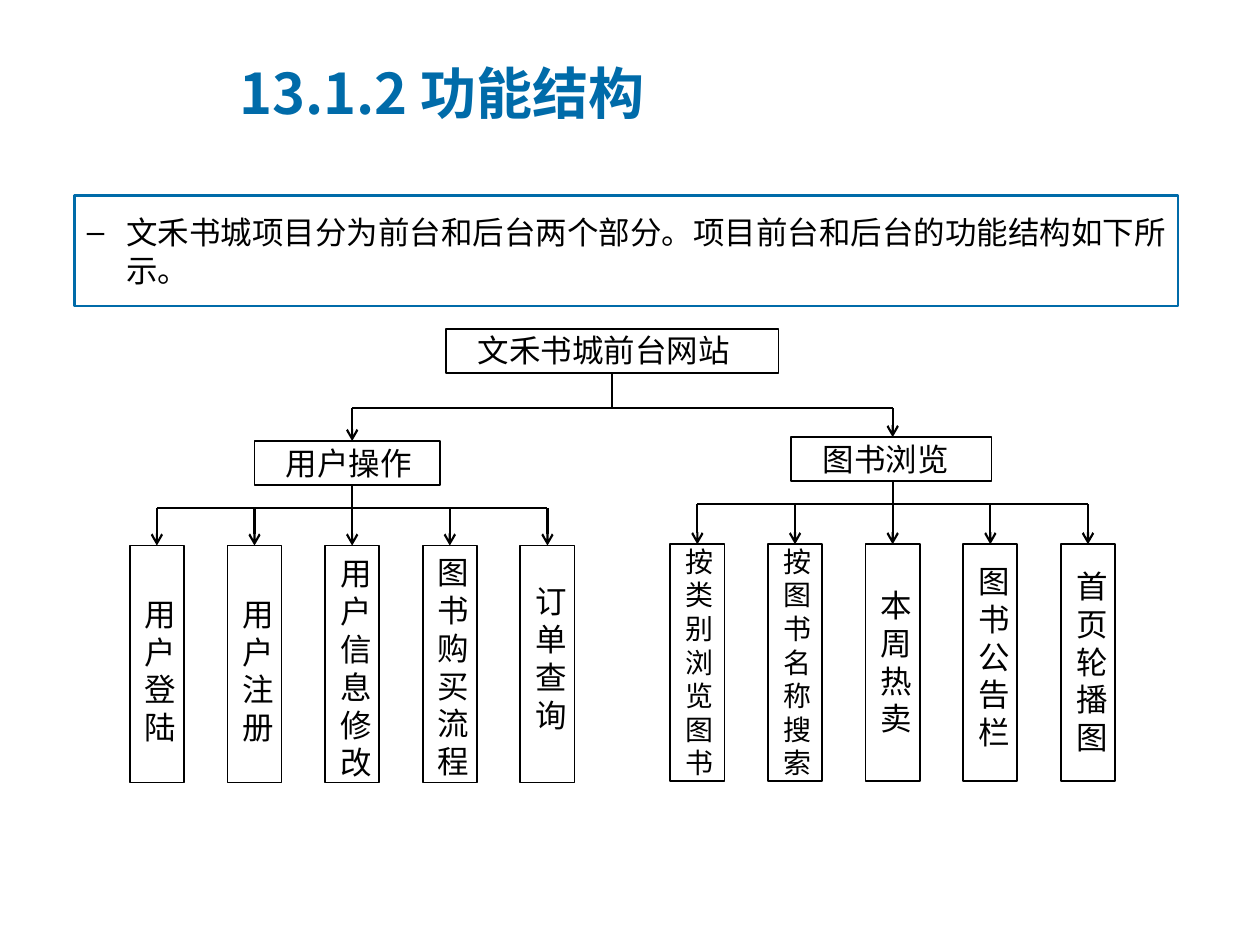
from collections import namedtuple

from lxml import etree
from pptx import Presentation
from pptx.dml.color import RGBColor
from pptx.enum.shapes import MSO_CONNECTOR, MSO_SHAPE
from pptx.enum.text import MSO_ANCHOR, MSO_AUTO_SIZE, PP_ALIGN
from pptx.oxml.ns import qn
from pptx.util import Inches, Pt

RECTANGLE, STRAIGHT = MSO_SHAPE.RECTANGLE, MSO_CONNECTOR.STRAIGHT
TOP, MIDDLE, LEFT = MSO_ANCHOR.TOP, MSO_ANCHOR.MIDDLE, PP_ALIGN.LEFT
NO_AUTOFIT = MSO_AUTO_SIZE.NONE

COLORS = {"accent": "006BA9", "ink": "000000"}
LATIN, CHINESE = "Arial", "Noto Sans CJK SC"
LINE_RATIO = 1.2

Box = namedtuple("Box", "left top width height")
Leaf = namedtuple("Leaf", "label text_top size", defaults=(18,))

TITLE_BOX = Box(1.8, 0.43, 5.41, 0.61)
INTRO_BOX = Box(0.59, 1.55, 8.76, 0.88)
ROOT_BOX = Box(3.54, 2.61, 2.64, 0.35)
ROOT_BUS = 3.24
LEAF_WIDTH, LEAF_HEIGHT, LEAF_PITCH = 0.43, 1.88, 0.775

# text_top is the gap between the top of a leaf and its first character
USER_GROUP = {
    "label": "用户操作",
    "head": Box(2.02, 3.5, 1.47, 0.35),
    "bus": 4.03,
    "first_leaf": (1.03, 4.33),
    "leaves": [Leaf("用户登陆", 0.39), Leaf("用户注册", 0.39),
               Leaf("用户信息修改", 0.07), Leaf("图书购买流程", 0.06),
               Leaf("订单查询", 0.29)],
}
BOOK_GROUP = {
    "label": "图书浏览",
    "head": Box(6.28, 3.47, 1.59, 0.35),
    "bus": 4.0,
    "first_leaf": (5.32, 4.32),
    "leaves": [Leaf("按类别浏览图书", 0, 16), Leaf("按图书名称搜索", 0, 16),
               Leaf("本周热卖", 0.33), Leaf("图书公告栏", 0.14),
               Leaf("首页轮播图", 0.18)],
}


def rgb(name):
    return RGBColor.from_string(COLORS[name])


def place(shape, box):
    for side, length in box._asdict().items():
        setattr(shape, side, Inches(length))


def outline(shape, color, width):
    shape.fill.background()
    shape.line.color.rgb = rgb(color)
    shape.line.width = Pt(width)


def write(shape, text, size=18, font=LATIN, color="ink", bold=False,
          anchor=TOP, insets=(0.1, 0.05, 0.1, 0.05)):
    frame = shape.text_frame
    left, top, right, bottom = map(Inches, insets)
    frame_format = {
        "word_wrap": True, "auto_size": NO_AUTOFIT, "vertical_anchor": anchor,
        "margin_left": left, "margin_top": top,
        "margin_right": right, "margin_bottom": bottom,
    }
    for attribute, value in frame_format.items():
        setattr(frame, attribute, value)
    paragraph = frame.paragraphs[0]
    paragraph.alignment = LEFT
    paragraph.space_before = Pt(0)
    paragraph.line_spacing = Pt(size * LINE_RATIO)
    run = paragraph.add_run()
    run.text = text
    for attribute, value in {"name": font, "size": Pt(size), "bold": bold}.items():
        setattr(run.font, attribute, value)
    run.font.color.rgb = rgb(color)
    east_asian = etree.SubElement(run._r.get_or_add_rPr(), qn("a:ea"))
    east_asian.set("typeface", CHINESE)
    return paragraph


def add_title(slide, box):
    title = slide.shapes.title
    place(title, box)
    write(title, "13.1.2 功能结构", size=32, font=CHINESE, color="accent",
          bold=True, anchor=MIDDLE)


def add_intro(slide, box):
    intro = slide.placeholders[1]
    place(intro, box)
    outline(intro, "accent", 1.5)
    paragraph = write(
        intro, "文禾书城项目分为前台和后台两个部分。项目前台和后台的功能结构如下所示。",
        anchor=MIDDLE, insets=(0.1, 0.05, 0.05, 0.05))
    properties = paragraph._p.get_or_add_pPr()
    indent = Inches(0.31)
    properties.set("marL", str(indent))
    properties.set("indent", str(-indent))
    etree.SubElement(properties, qn("a:buFont")).set("typeface", LATIN)
    etree.SubElement(properties, qn("a:buChar")).set("char", "–")


def add_node(slide, box, label, size=18, insets=(0.25, 0.02, 0, 0)):
    node = slide.shapes.add_shape(RECTANGLE, *map(Inches, box))
    node.shadow.inherit = False
    outline(node, "ink", 1)
    write(node, label, size=size, insets=insets)


def add_line(slide, start, end, arrow=False):
    line = slide.shapes.add_connector(STRAIGHT, *map(Inches, start + end))
    line.line.color.rgb = rgb("ink")
    line.line.width = Pt(1.25)
    if arrow:
        tail = etree.SubElement(line.line._get_or_add_ln(), qn("a:tailEnd"))
        tail.set("type", "arrow")
    etree.SubElement(line._element.spPr, qn("a:effectLst"))


def add_branches(slide, parent, trunk_x, bus_y, targets):
    """Join a parent box to the (x, y) points below it through one bus line."""
    add_line(slide, (trunk_x, parent.top + parent.height), (trunk_x, bus_y))
    add_line(slide, (targets[0][0], bus_y), (targets[-1][0], bus_y))
    for x, y in targets:
        add_line(slide, (x, bus_y), (x, y), arrow=True)


def add_group(slide, group):
    """Draw a heading with its leaves and return the point where it is entered."""
    head, (left, top) = group["head"], group["first_leaf"]
    add_node(slide, head, group["label"])
    targets = []
    for column, leaf in enumerate(group["leaves"]):
        box = Box(left + column * LEAF_PITCH, top, LEAF_WIDTH, LEAF_HEIGHT)
        add_node(slide, box, leaf.label, leaf.size,
                 insets=(0.12, leaf.text_top, 0.12, 0))
        targets.append((box.left + LEAF_WIDTH / 2, top))
    center = targets[len(targets) // 2][0]
    add_branches(slide, head, center, group["bus"], targets)
    return center, head.top


def add_structure(slide, box):
    add_node(slide, box, "文禾书城前台网站")
    entries = [add_group(slide, group) for group in (USER_GROUP, BOOK_GROUP)]
    add_branches(slide, box, box.left + box.width / 2, ROOT_BUS, entries)


def main():
    presentation = Presentation()
    presentation.slide_width, presentation.slide_height = Inches(10), Inches(7.5)
    slide = presentation.slides.add_slide(presentation.slide_layouts[1])
    add_title(slide, TITLE_BOX)
    add_intro(slide, INTRO_BOX)
    add_structure(slide, ROOT_BOX)
    presentation.save("out.pptx")


if __name__ == "__main__":
    main()
